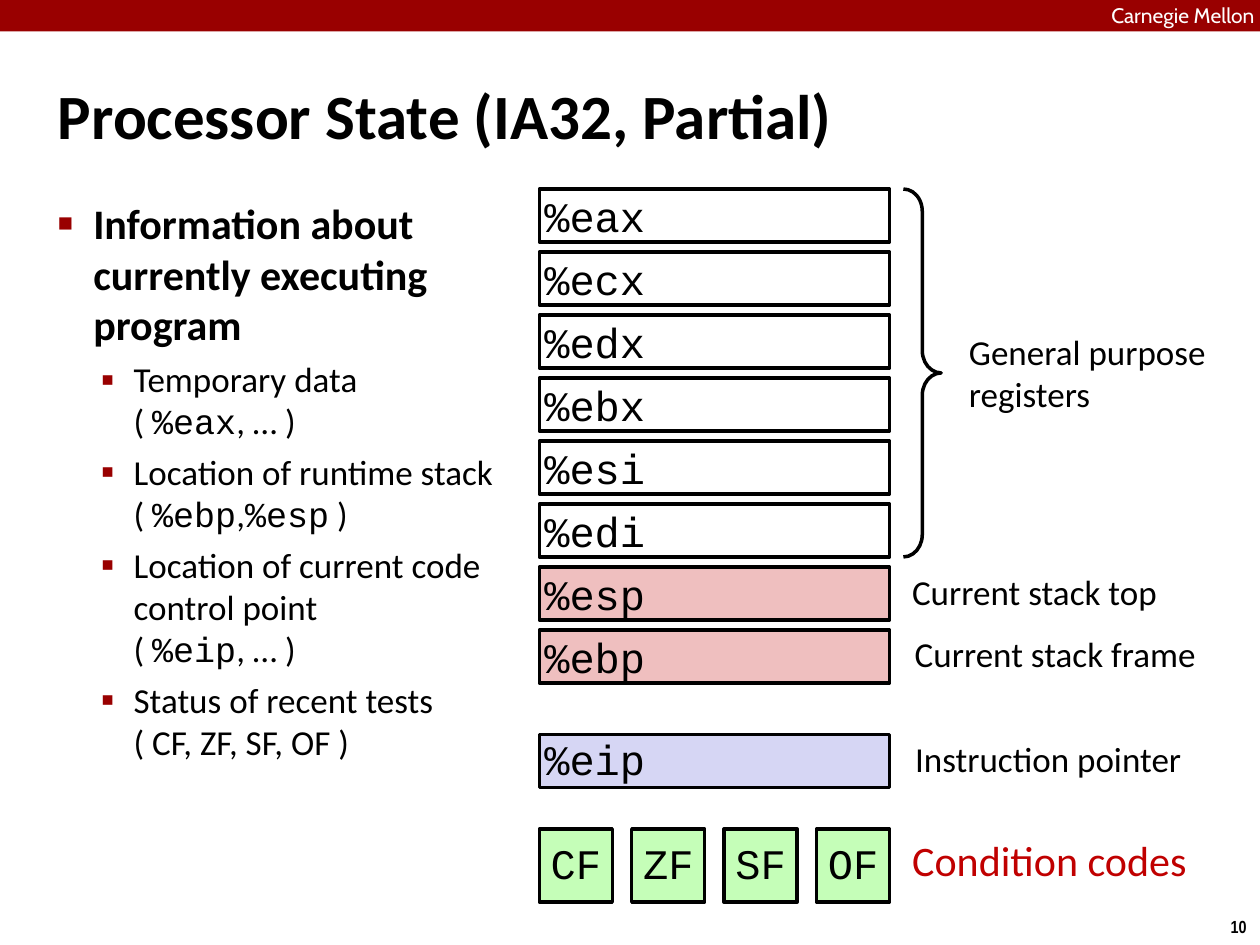
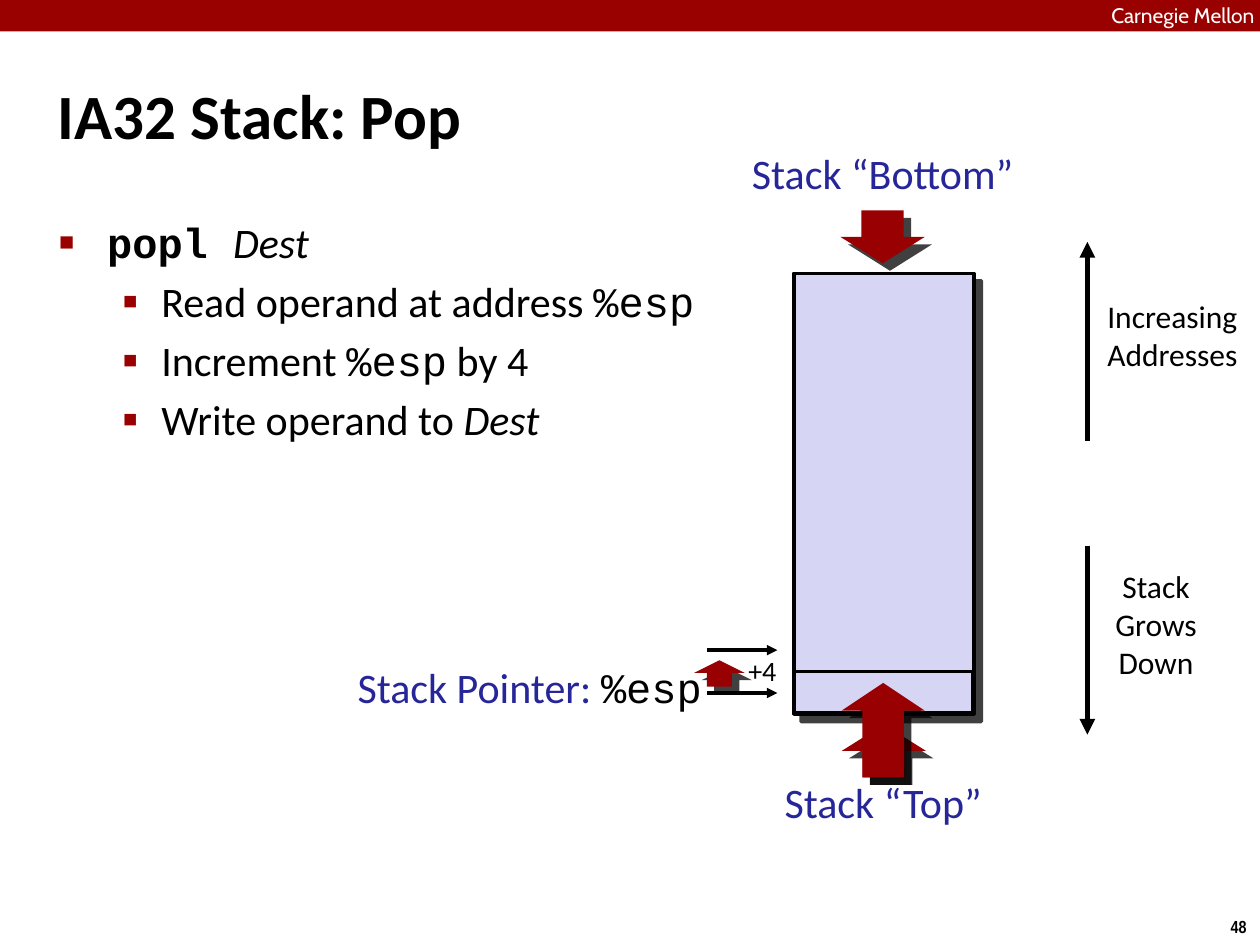
from lxml import etree
from pptx import Presentation
from pptx.dml.color import RGBColor
from pptx.enum.shapes import MSO_CONNECTOR, MSO_SHAPE
from pptx.enum.text import MSO_ANCHOR, MSO_AUTO_SIZE, PP_ALIGN
from pptx.oxml.ns import qn
from pptx.util import Inches, Pt

LEFT, MID, RIGHT = PP_ALIGN.LEFT, PP_ALIGN.CENTER, PP_ALIGN.RIGHT
TOP, CENTER = MSO_ANCHOR.TOP, MSO_ANCHOR.MIDDLE
RECT, BRACE = MSO_SHAPE.RECTANGLE, MSO_SHAPE.RIGHT_BRACE
UP, DOWN = MSO_SHAPE.UP_ARROW, MSO_SHAPE.DOWN_ARROW

HEX = {
    "black": "000000", "white": "FFFFFF", "band": "990000",
    "arrow": "980002", "blue": "262699", "red": "C00000",
    "pink": "EFBFBF", "lilac": "D6D6F4", "green": "C5FEB8",
}

# Text formats; a run may name one that overrides its paragraph's format
TEXT = {"name": "Calibri", "size": 20, "bold": False, "italic": False, "color": "black"}
BIG = {**TEXT, "size": 24}
HEAD = {**BIG, "bold": True}
TITLE = {**HEAD, "size": 36}
CODE = {**BIG, "name": "Courier New"}
RUNS = {
    "code": {"name": "Courier New"},
    "op": {"name": "Courier New", "bold": True},
    "arg": {"italic": True},
    "esp": {"name": "Courier New", "color": "black"},
}

# Slide 1: (level, runs) for lists; a run is a string or (string, format)
STATE = [
    (0, ["Information about currently executing program"]),
    (1, ["Temporary data\n( ", ("%eax", "code"), ", … )"]),
    (1, ["Location of runtime stack\n( ", ("%ebp", "code"), ",",
         ("%esp", "code"), " )"]),
    (1, ["Location of current code control point\n( ", ("%eip", "code"), ", … )"]),
    (1, ["Status of recent tests\n( CF, ZF, SF, OF )"]),
]
REGS = ["%eax", "%ecx", "%edx", "%ebx", "%esi", "%edi", "%esp", "%ebp"]
STACK_REGS = REGS[-2:]
FLAGS = ["CF", "ZF", "SF", "OF"]
ROLES = [
    ((7.17, 4.49, 2.08, 0.42), "Current stack top"),
    ((7.19, 4.98, 2.37, 0.42), "Current stack frame"),
    ((7.19, 5.81, 2.26, 0.42), "Instruction pointer"),
]

# Slide 2
POP = [
    (0, [("popl ", "op"), ("Dest", "arg")]),
    (1, ["Read operand at address ", ("%esp", "code")]),
    (1, ["Increment ", ("%esp", "code"), " by 4"]),
    (1, ["Write operand to ", ("Dest", "arg")]),
]
ENDS = [
    ((5.89, 1.17, 2.23, 0.49), "Stack “Bottom”"),
    ((6.16, 6.16, 1.7, 0.49), "Stack “Top”"),
]
LINES = [  # from, to, width, arrowhead
    ((5.61, 5.5), (6.17, 5.5), 2, True),
    ((5.61, 5.16), (6.17, 5.16), 2, True),
    ((8.63, 4.33), (8.63, 5.83), 3, True),
    ((8.63, 3.5), (8.63, 1.92), 3, True),
]

# Per level: left margin, hanging indent, bullet, bullet size in %
WIDE = [(0.38, 0.38, "■", 60), (0.81, 0.31, "▪", 110)]
TIGHT = [(0.28, 0.28, "■", 60), (0.6, 0.26, "▪", 110)]


def rgb(name):
    return RGBColor.from_string(HEX[name])


def add(parent, tag, **attrs):
    """Append a drawing element such as a:ln."""
    return etree.SubElement(parent, qn(tag), {k: str(v) for k, v in attrs.items()})


def put(shape, at):
    for key, val in zip(("left", "top", "width", "height"), at):
        setattr(shape, key, Inches(val))


def style(font, fmt):
    for key, val in fmt.items():
        if key == "color":
            font.color.rgb = rgb(val)
        else:
            setattr(font, key, Pt(val) if key == "size" else val)


def fill_para(para, runs, fmt):
    for run in runs:
        text, kind = (run, None) if isinstance(run, str) else run
        for num, part in enumerate(text.split("\n")):
            if num:
                para.add_line_break()
            piece = para.add_run()
            piece.text = part
            style(piece.font, {**fmt, **RUNS.get(kind, {})})


def frame_of(shape, inset=0.04, anchor=TOP, wrap=True):
    frame = shape.text_frame
    frame.auto_size = MSO_AUTO_SIZE.NONE
    frame.word_wrap, frame.vertical_anchor = wrap, anchor
    for side in ("left", "top", "right", "bottom"):
        setattr(frame, "margin_" + side, Inches(inset))
    return frame


def para_at(frame, num):
    return frame.add_paragraph() if num else frame.paragraphs[0]


def write(shape, paras, fmt, align=LEFT, space=None, **opts):
    frame = frame_of(shape, **opts)
    for num, runs in enumerate(paras):
        para = para_at(frame, num)
        para.alignment, para.line_spacing = align, space
        fill_para(para, [runs] if isinstance(runs, str) else runs, fmt)


def label(slide, at, paras, fmt=TEXT, align=LEFT, **opts):
    box = slide.shapes.add_textbox(0, 0, 0, 0)
    put(box, at)
    write(box, paras, fmt, align, **{"wrap": align != MID, **opts})
    return box


def draw(slide, kind, at, fill=None, line=None, shadow=False):
    shape = slide.shapes.add_shape(kind, 0, 0, 0, 0)
    put(shape, at)
    shape.shadow.inherit = False
    if fill:
        shape.fill.solid()
        shape.fill.fore_color.rgb = rgb(fill)
    else:
        shape.fill.background()
    if line:
        shape.line.color.rgb, shape.line.width = rgb("black"), Pt(line)
    else:
        shape.line.fill.background()
    if shadow:
        effects = shape.element.spPr.find(qn("a:effectLst"))
        cast = add(effects, "a:outerShdw", dist=Pt(6), dir=45 * 60000,
                   algn="ctr", rotWithShape=0)
        add(add(cast, "a:srgbClr", val=HEX["black"]), "a:alpha", val=75000)
    return shape


def cell(slide, at, text, fill, align=LEFT, space=None):
    box = draw(slide, RECT, at, fill, 2)
    write(box, [text], CODE, align, space, anchor=CENTER)


def arrow(slide, kind, at, head):
    """Block arrow whose head is `head` inches long."""
    shape = draw(slide, kind, at, "arrow", shadow=True)
    shape.adjustments[0] = 0.5
    shape.adjustments[1] = head / min(at[2:])


def rule(slide, start, end, width, tip):
    ends = [Inches(v) for v in start + end]
    line = slide.shapes.add_connector(MSO_CONNECTOR.STRAIGHT, *ends)
    line.line.color.rgb, line.line.width = rgb("black"), Pt(width)
    if tip:
        add(line.line._get_or_add_ln(), "a:tailEnd", type="triangle")
    add(line.element.spPr, "a:effectLst")


def bullets(body, at, items, levels, gaps, heads, inset):
    put(body, at)
    frame = frame_of(body, inset)
    for num, (level, runs) in enumerate(items):
        para = para_at(frame, num)
        para.level = level
        para.space_before = Pt(gaps[level] if num else 0)
        margin, hang, mark, size = levels[level]
        props = para._p.get_or_add_pPr()
        props.set("marL", str(Inches(margin)))
        props.set("indent", str(-Inches(hang)))
        add(add(props, "a:buClr"), "a:srgbClr", val=HEX["band"])
        add(props, "a:buSzPct", val=size * 1000)
        add(props, "a:buChar", char=mark)
        fill_para(para, runs, heads[level])


def new_slide(deck, title, number):
    """Slide with title, top band and page number; returns it and its body."""
    slide = deck.slides.add_slide(deck.slide_layouts[1])
    head, body = slide.placeholders
    put(head, (0.42, 0.28, 9.17, 1.25))
    write(head, [title], TITLE, anchor=CENTER)
    draw(slide, RECT, (0, 0, 10, 0.25), "band")
    label(slide, (8.82, 0.02, 1.44, 0.19), ["Carnegie Mellon"],
          {**TEXT, "name": "Cabin", "size": 12, "color": "white"}, inset=0)
    label(slide, (9.66, 7.22, 0.34, 0.27), [number],
          {**HEAD, "name": "Arial Narrow", "size": 10}, MID, inset=0.05)
    return slide, body


def state_slide(deck):
    slide, body = new_slide(deck, "Processor State (IA32, Partial)", "10")
    bullets(body, (0.42, 1.53, 3.65, 5.94), STATE, TIGHT, (6, 5), (HEAD, TEXT), 0.04)

    left, wide, high = 4.28, 2.78, 0.42
    for num, reg in enumerate(REGS):
        fill = "pink" if reg in STACK_REGS else "white"
        cell(slide, (left, 1.5 + 0.5 * num, wide, high), reg, fill)
    cell(slide, (left, 5.83, wide, high), "%eip", "lilac", space=0.95)

    side = 0.58
    step = (wide - side) / (len(FLAGS) - 1)
    for num, flag in enumerate(FLAGS):
        cell(slide, (left + step * num, 6.58, side, side), flag, "green", MID, 0.95)

    brace = draw(slide, BRACE, (7.17, 1.5, 0.3, 2.92), line=2)
    brace.adjustments[0] = 0.59
    label(slide, (7.65, 2.58, 2.01, 0.75), ["General purpose", "registers"])
    for at, role in ROLES:
        label(slide, at, [role], align=MID)
    label(slide, (7.2, 6.58, 2.9, 0.49), ["Condition codes"], {**BIG, "color": "red"})


def pop_slide(deck):
    slide, body = new_slide(deck, "IA32 Stack: Pop", "48")
    bullets(body, (0.42, 1.67, 5.33, 1.96), POP, WIDE, (4.8, 4.8), (BIG, BIG), 0.05)

    blue = {**BIG, "color": "blue"}
    small = {**TEXT, "size": 18}
    arrow(slide, UP, (6.68, 5.75, 0.67, 0.42), 0.21)
    arrow(slide, DOWN, (6.67, 1.67, 0.67, 0.42), 0.21)
    draw(slide, RECT, (6.3, 2.17, 1.43, 3.5), "lilac", 2, shadow=True)
    draw(slide, RECT, (6.3, 5.33, 1.42, 0.33), "lilac", 2)
    arrow(slide, UP, (6.68, 5.42, 0.66, 0.75), 0.22)

    label(slide, (2.69, 5.25, 2.88, 0.5), [["Stack Pointer: ", ("%esp", "esp")]],
          blue, RIGHT, inset=0)
    for at, name in ENDS:
        label(slide, at, [name], blue, MID, inset=0)
    label(slide, (8.74, 2.36, 1.13, 0.69), ["Increasing", "Addresses"],
          small, MID, inset=0)
    label(slide, (8.73, 4.5, 0.89, 1), ["Stack Grows", "Down"],
          small, MID, inset=0, wrap=True)

    for line in LINES:
        rule(slide, *line)
    label(slide, (5.89, 5.15, 0.32, 0.35), ["+4"], {**TEXT, "size": 16}, MID)
    arrow(slide, UP, (5.51, 5.24, 0.4, 0.21), 0.1)


def main():
    deck = Presentation()
    deck.slide_width, deck.slide_height = Inches(10), Inches(7.5)
    state_slide(deck)
    pop_slide(deck)
    deck.save("out.pptx")


if __name__ == "__main__":
    main()
